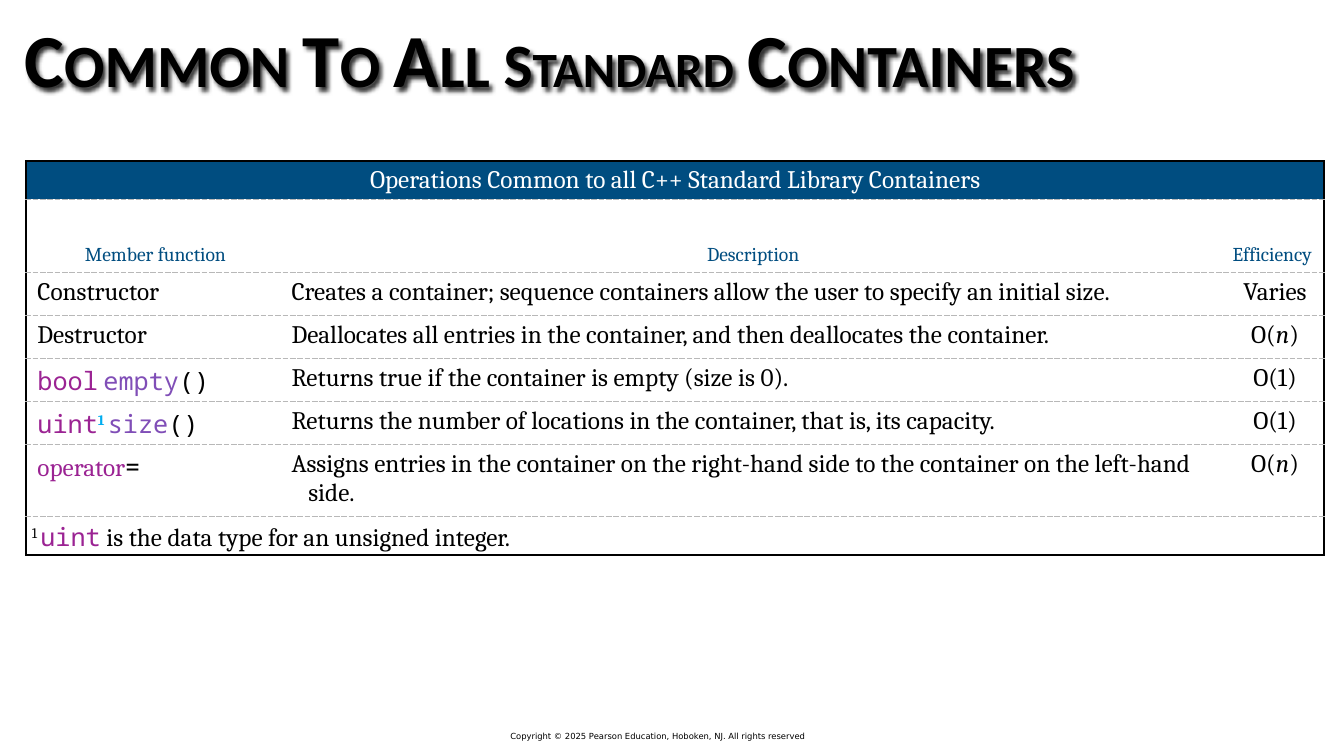
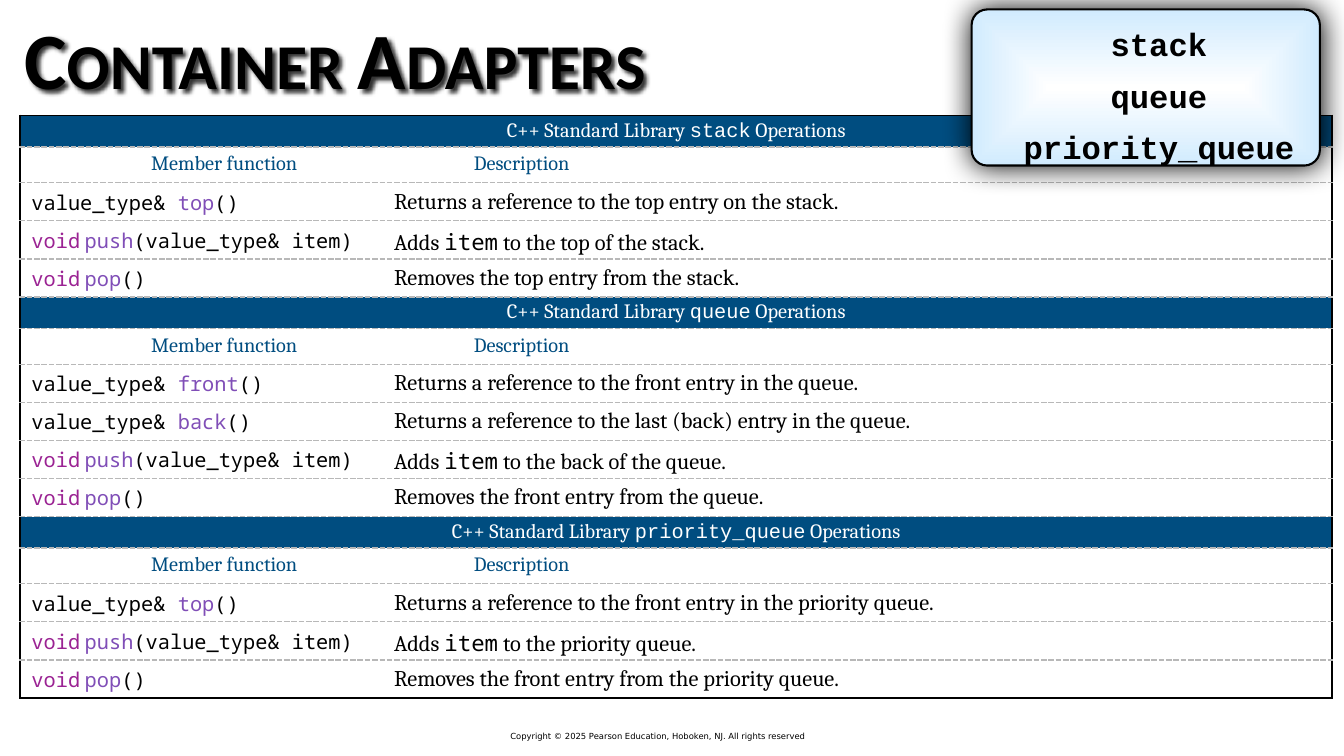
from collections import namedtuple

from lxml import etree
from pptx import Presentation
from pptx.dml.color import RGBColor
from pptx.enum.shapes import MSO_SHAPE
from pptx.enum.text import MSO_ANCHOR, MSO_AUTO_SIZE, PP_ALIGN
from pptx.oxml.ns import qn
from pptx.util import Pt

LEFT, CENTER, JUSTIFY = PP_ALIGN.LEFT, PP_ALIGN.CENTER, PP_ALIGN.JUSTIFY
TOP, MIDDLE, BOTTOM = MSO_ANCHOR.TOP, MSO_ANCHOR.MIDDLE, MSO_ANCHOR.BOTTOM
FIT_SHAPE = MSO_AUTO_SIZE.SHAPE_TO_FIT_TEXT
ROUNDED = MSO_SHAPE.ROUNDED_RECTANGLE

BLACK, WHITE, NAVY, RULE = "000000", "FFFFFF", "004D80", "B8B8B8"
KEYWORD, MEMBER, CYAN, SKY = "9B2393", "804EB7", "00ADEF", "D1EBFE"
SERIF, MONO, COURIER = "Cambria", "Noto Sans Mono", "Courier New"

# Run kinds: font, colour (None takes the paragraph's), further run attributes
KINDS = {
    "text": (SERIF, None, {}),
    "italic": (SERIF, None, {"i": "1"}),
    "word": (SERIF, KEYWORD, {}),
    "keyword": (MONO, KEYWORD, {}),
    "member": (MONO, MEMBER, {}),
    "code": (MONO, None, {}),
    "type name": (COURIER, None, {}),
    "mark": (SERIF, CYAN, {"b": "1", "baseline": "32000"}),
    "note mark": (SERIF, None, {"baseline": "32000"}),
    "copyright": ("DejaVu Sans", None, {}),
    "title": ("Calibri", None, {"b": "1", "cap": "small"}),
    "callout": (COURIER, None, {"b": "1"}),
}

Column = namedtuple("Column", "width left align anchor size head_align head_indent")


def rgb(value):
    return RGBColor.from_string(value)


def add_xml(parent, tag, **attributes):
    return etree.SubElement(parent, qn(tag), attributes)


def add_color(parent, value, alpha=None):
    color = add_xml(parent, "a:srgbClr", val=value)
    if alpha:
        add_xml(color, "a:alpha", val=str(alpha * 1000))


class Deck:
    def __init__(self):
        self.prs = Presentation()
        self.prs.slide_width, self.prs.slide_height = Pt(1920), Pt(1080)
        self.slide = None

    def new_slide(self):
        self.slide = self.prs.slides.add_slide(self.prs.slide_layouts[6])
        frame = self.text_box(self.slide.shapes, (729, 1043, 487, 17.5), (0, 1, 0, 1))
        frame.auto_size = FIT_SHAPE
        copyright_line = "Copyright © 2025 Pearson Education, Hoboken, NJ. All rights reserved"
        self.set_text(frame.paragraphs[0], [(copyright_line, "copyright")], 12)

    def text_box(self, shapes, at, margins=(6, 6, 6, 6)):
        frame = shapes.add_textbox(*map(Pt, at)).text_frame
        frame.word_wrap, frame.vertical_anchor = True, MIDDLE
        self.set_margins(frame, margins)
        return frame

    def set_margins(self, holder, margins):
        (holder.margin_left, holder.margin_top,
         holder.margin_right, holder.margin_bottom) = map(Pt, margins)

    def set_text(self, paragraph, runs, size, color=BLACK, align=LEFT, indent=(0, 0)):
        """Runs are a string or a list of (text, kind[, size])."""
        if isinstance(runs, str):
            runs = [(runs, "text")]
        paragraph.alignment = align
        properties = paragraph._p.get_or_add_pPr()
        for name, points in zip(("marL", "indent"), indent):
            properties.set(name, str(int(Pt(points))))
        for text, kind, *own_size in runs:
            face, own_color, attributes = KINDS[kind]
            run = paragraph.add_run()
            run.text = text
            font = paragraph.font if len(runs) == 1 else run.font
            font.name, font.size = face, Pt(own_size[0] if own_size else size)
            font.color.rgb = rgb(own_color or color)
            for name, value in attributes.items():
                run._r.get_or_add_rPr().set(name, value)

    def shadow(self, shape, blur, distance, angle, alpha=None):
        shape.shadow.inherit = False
        effects = shape._element.spPr.find(qn("a:effectLst"))
        outer = add_xml(effects, "a:outerShdw", blurRad=str(int(Pt(blur))),
                        dist=str(int(Pt(distance))), dir=str(angle * 60000),
                        algn="ctr", rotWithShape="0")
        add_color(outer, BLACK, alpha)

    def title(self, runs, size, width):
        frame = self.text_box(self.slide.shapes, (29, 0, width, 165))
        self.set_text(frame.paragraphs[0], runs, size)
        self.shadow(self.slide.shapes[-1], 5, 5, 45, 80)

    def border(self, cell, tag, style):
        line = add_xml(cell._tc.get_or_add_tcPr(), tag)
        if style is None:
            line.set("w", "0")
            add_xml(line, "a:noFill")
            return
        color, width, dash = style
        line.set("w", str(int(Pt(width))))
        add_color(add_xml(line, "a:solidFill"), color)
        add_xml(line, "a:prstDash", val=dash)

    def cell(self, cell, kind, runs, column, sizes, head_anchor):
        """Fill in one cell as a bar, head, body or note."""
        margins, anchor = (column.left, 8, 5, 8), column.anchor
        if kind == "bar":
            margins, anchor = (5, 5, 5, 5), MIDDLE
            style = (sizes["bar"], WHITE, CENTER)
        elif kind == "head":
            anchor = head_anchor
            style = (sizes["head"], NAVY, column.head_align, (column.head_indent, 0))
        elif kind == "note":
            margins, anchor = (8, 5, 5, 5), TOP
            style = (column.size, BLACK, JUSTIFY)
        else:
            style = (column.size, BLACK, column.align, (32, -24))
        self.set_margins(cell, margins)
        cell.vertical_anchor = anchor
        self.set_text(cell.text_frame.paragraphs[0], runs, *style)

    def table(self, left, top, columns, rows, heights, sizes, head_anchor):
        """Rows are (kind, cell, ...); a bar or note spans all columns."""
        width = sum(column.width for column in columns)
        height = sum(heights[kind] for kind, *_ in rows)
        table = self.slide.shapes.add_table(
            len(rows), len(columns), Pt(left), Pt(top), Pt(width), Pt(height)).table
        table.first_row = table.horz_banding = False
        for grid_column, column in zip(table.columns, columns):
            grid_column.width = Pt(column.width)
        frame, rule = (BLACK, 3, "solid"), (RULE, 2, "dash")
        last_row, last_column = len(rows) - 1, len(columns) - 1
        for r, (kind, *texts) in enumerate(rows):
            table.rows[r].height = Pt(heights[kind])
            if len(texts) == 1:
                table.cell(r, 0).merge(table.cell(r, last_column))
            for c, column in enumerate(columns):
                cell = table.cell(r, c)
                at_right = c + cell.span_width - 1 >= last_column
                self.border(cell, "a:lnL", frame if c == 0 else None)
                self.border(cell, "a:lnR", frame if at_right else None)
                self.border(cell, "a:lnT", frame if r == 0 else rule)
                self.border(cell, "a:lnB", frame if r == last_row else rule)
                cell.fill.solid()
                cell.fill.fore_color.rgb = rgb(NAVY if kind == "bar" else WHITE)
                if c < len(texts):
                    self.cell(cell, kind, texts[c], column, sizes, head_anchor)

    def callout(self, lines):
        group = self.slide.shapes.add_group_shape()
        panel = group.shapes.add_shape(ROUNDED, Pt(1388), Pt(13.5), Pt(497.5), Pt(223))
        panel.adjustments[0] = 0.1
        panel.line.color.rgb, panel.line.width = rgb(BLACK), Pt(3)
        # Gradient from the centre outwards
        panel.fill.gradient()
        gradient = panel._element.spPr.find(qn("a:gradFill"))
        for child in list(gradient):
            gradient.remove(child)
        stops = add_xml(gradient, "a:gsLst")
        for position, color in (("0", WHITE), ("100000", SKY)):
            add_color(add_xml(stops, "a:gs", pos=position), color)
        centre = add_xml(gradient, "a:path", path="shape")
        add_xml(centre, "a:fillToRect", l="50000", t="50000", r="50000", b="50000")
        self.shadow(panel, 43, 0, 51)
        # Names on the panel
        frame = self.text_box(group.shapes, (1388, 21, 499, 212))
        for i, line in enumerate(lines):
            paragraph = frame.add_paragraph() if i else frame.paragraphs[0]
            self.set_text(paragraph, [(line, "callout")], 46, align=CENTER, indent=(0, 36))
            paragraph.line_spacing = Pt(73)


def signature(returns, name, arguments="()"):
    if returns == "void":
        start = [("void", "keyword"), (" ", "text")]
    else:
        start = [(returns + " ", "code")]
    return start + [(name, "member"), (arguments, "code")]


def adapter_rows(adapter, *operations):
    bar = [("C++ Standard Library ", "text"), (adapter, "type name"), (" Operations", "text")]
    return [("bar", bar), ("head", "Member function", "Description")] + [
        ("body", call, description) for call, description in operations]


def adds_item(place):
    return (signature("void", "push", "(value_type& item)"),
            [("Adds ", "text"), ("item", "code"), (f" to the {place}.", "text")])


def reads(name, description):
    return signature("value_type&", name), f"Returns a reference to the {description}."


def removes(description):
    return signature("void", "pop"), f"Removes the {description}."


def common_operations(deck):
    deck.new_slide()
    deck.title([("Common To All ", "title"), ("Standard", "title", 88),
                (" Containers", "title")], 107, 1863)
    linear = [("O(", "text"), ("n", "italic"), (")", "text")]
    space = (" ", "text")
    rows = [
        ("bar", "Operations Common to all C++ Standard Library Containers"),
        ("head", "Member function", "Description", "Efficiency"),
        ("body", "Constructor",
         "Creates a container; sequence containers allow the user to specify an initial size.",
         "Varies"),
        ("body", "Destructor",
         "Deallocates all entries in the container, and then deallocates the container.", linear),
        ("body", [("bool", "keyword"), space, ("empty", "member"), ("()", "code")],
         "Returns true if the container is empty (size is 0).", "O(1)"),
        ("body", [("uint", "keyword"), ("1 ", "mark"), ("size", "member"), ("()", "code")],
         "Returns the number of locations in the container, that is, its capacity.", "O(1)"),
        ("body", [("operator", "word"), ("=", "code")],
         "Assigns entries in the container on the right-hand side to the container"
         " on the left-hand side.", linear),
        ("note", [("1 ", "note mark"), ("uint", "keyword"), space,
                  ("is the data type for an unsigned integer.", "text")]),
    ]
    columns = [Column(366, 8, LEFT, TOP, 36, CENTER, 0),
               Column(1345, 5, LEFT, TOP, 36, CENTER, 0),
               Column(143, 0, CENTER, TOP, 36, CENTER, 0)]
    deck.table(37.5, 230, columns, rows, {"bar": 55, "head": 104, "body": 61.5, "note": 56},
               {"bar": 36, "head": 28}, BOTTOM)


def container_adapters(deck):
    deck.new_slide()
    rows = adapter_rows(
        "stack",
        reads("top", "top entry on the stack"),
        adds_item("top of the stack"),
        removes("top entry from the stack"),
    ) + adapter_rows(
        "queue",
        reads("front", "front entry in the queue"),
        reads("back", "last (back) entry in the queue"),
        adds_item("back of the queue"),
        removes("front entry from the queue"),
    ) + adapter_rows(
        "priority_queue",
        reads("top", "front entry in the priority queue"),
        adds_item("priority queue"),
        removes("front entry from the priority queue"),
    )
    columns = [Column(518, 8, LEFT, TOP, 29, CENTER, 62),
               Column(1356, 8, LEFT, MIDDLE, 32, LEFT, 122)]
    deck.table(29, 165, columns, rows, {"bar": 45, "head": 51, "body": 51.5},
               {"bar": 29, "head": 29}, TOP)
    deck.title([("Container Adapters", "title")], 114, 1699)
    deck.callout(["stack", "queue", "priority_queue"])


def main():
    deck = Deck()
    common_operations(deck)
    container_adapters(deck)
    deck.prs.save("out.pptx")


if __name__ == "__main__":
    main()
